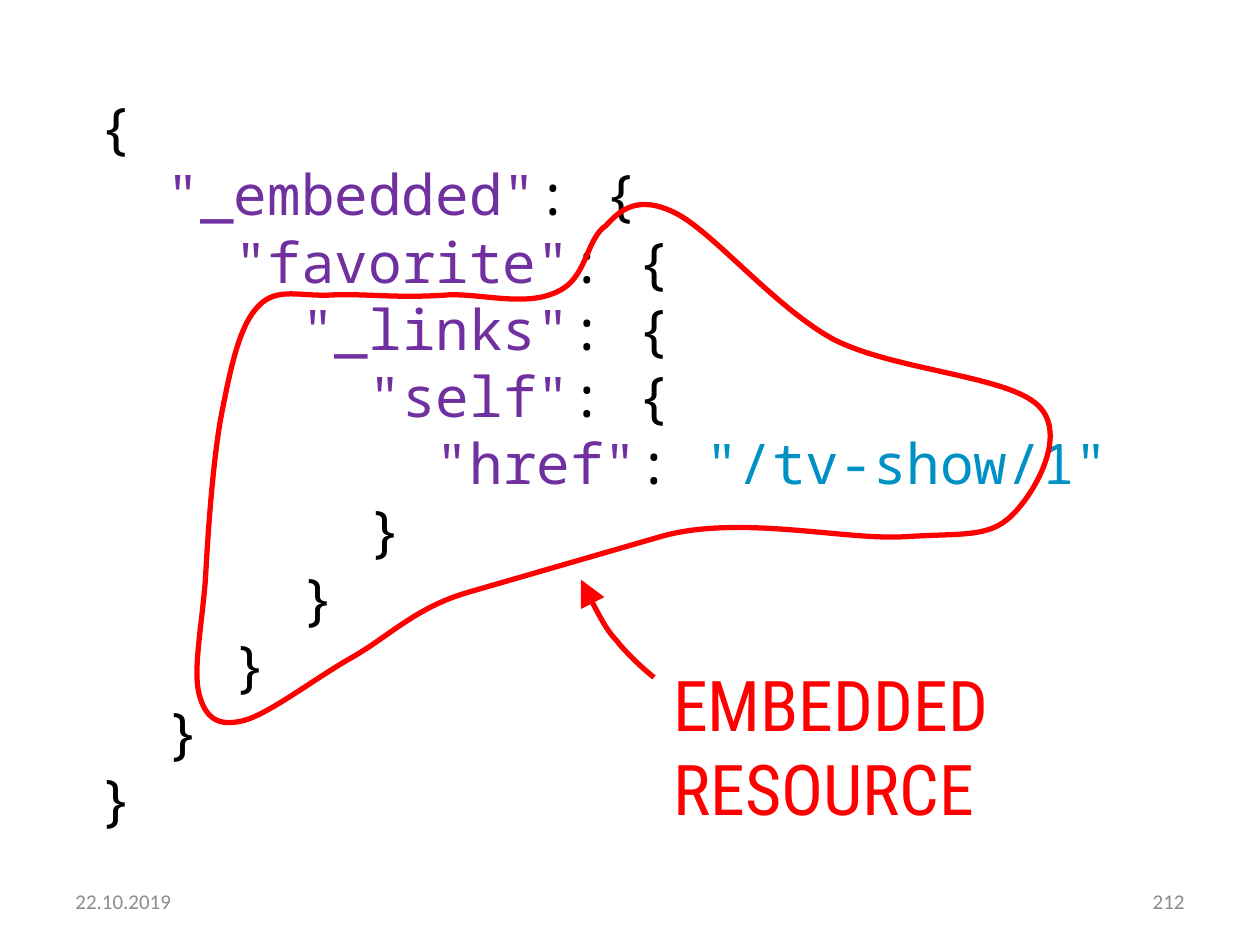
from lxml.etree import SubElement
from pptx import Presentation
from pptx.dml.color import RGBColor as RGB
from pptx.enum.text import MSO_ANCHOR as Anchor, MSO_AUTO_SIZE as AutoSize, PP_ALIGN as Align
from pptx.oxml.ns import qn
from pptx.util import Pt

COLORS = {"plain": "000000", "key": "7030A0", "value": "0091C4",
          "mark": "FF0000", "footer": "8C8C8C"}

CODE = [
    [[("{ ", "plain")],
     [("  ", "plain"), ('"_embedded"', "key"), (": {", "plain")]],
    [[("    ", "plain"), ('"favorite"', "key"), (": {", "plain")],
     [("      ", "plain"), ('"_links"', "key"), (": {", "plain")],
     [("        ", "plain"), ('"self"', "key"), (": {", "plain")]],
    [[("          ", "value"), ('"href"', "key"), (":", "plain"),
      (' "/tv-show/1"', "value")],
     [("        ", "value"), ("}", "plain")]],
    [[("      }", "plain")]],
    [[("    }", "plain")],
     [("  }", "plain")]],
    [[("}", "plain")]],
]
LABEL = "EMBEDDED RESOURCE"
FOOTERS = [("22.10.2019", 36, Align.LEFT), ("212", 516, Align.RIGHT)]

ARROW_BOX = (331.9, 331.2, 41.8, 55.9)
ARROW = [
    [(373.7, 387.1)],
    [(365.8, 380.9), (356.4, 371.5), (352.1, 365.8)],
    [(347, 360.7), (337.7, 343.4), (331.9, 331.2)],
]
OUTLINE_BOX = (112.5, 116.7, 487.6, 295.8)
OUTLINE = [
    [(346.3, 128.9)],
    [(354.2, 120.2), (364.3, 110.9), (385.9, 121.7)],
    [(407.5, 132.5), (442.1, 175), (475.9, 193.7)],
    [(510.5, 211.7), (576, 214.6), (593.3, 231.8)],
    [(610.6, 248.4), (591.1, 282.2), (578.2, 294.5)],
    [(565.2, 307.4), (550.1, 304.6), (517, 306.7)],
    [(483.1, 308.9), (421.9, 293.8), (377.3, 306.7)],
    [(267.8, 338.4)],
    [(237.6, 347), (222.5, 363.6), (200.9, 375.8)],
    [(179.3, 388.1), (153.4, 408.2), (139, 411.8)],
    [(124.6, 415.4), (117.4, 410.4), (113.8, 396.7)],
    [(110.2, 383), (115.2, 358.6), (117.4, 331.2)],
    [(118.8, 304.6), (121.7, 262.1), (126.7, 236.2)],
    [(131.8, 210.2), (136.8, 185.8), (147.6, 175)],
    [(158.4, 163.4), (172.1, 169.9), (190.8, 168.5)],
    [(208.8, 167.8), (228.2, 170.6), (256.3, 168.5)],
    [(277.9, 167.8), (303.1, 176.4), (321.8, 164.9)],
    [(335.5, 156.2), (335.5, 136.1), (346.3, 128.9)],
]


def add_frame(slide, left, top, width, height, anchor=Anchor.TOP):
    frame = slide.shapes.add_textbox(Pt(left), Pt(top), Pt(width), Pt(height)).text_frame
    frame.word_wrap = True
    frame.vertical_anchor = anchor
    return frame


def add_run(paragraph, text, font, size, color):
    run = paragraph.add_run()
    run.text = text
    run.font.name = font
    run.font.size = Pt(size)
    run.font.color.rgb = RGB.from_string(COLORS[color])


def add_curve(slide, box, segments, close=False):
    left, top, width, height = box
    builder = slide.shapes.build_freeform(Pt(left), Pt(top))
    builder.add_line_segments([(Pt(left + width), Pt(top + height))], close=False)
    curve = builder.convert_to_shape()
    outline = next(curve.element.iter(qn("a:path")))
    for corner in list(outline):
        outline.remove(corner)
    for i, points in enumerate(segments):
        tag = "a:moveTo" if i == 0 else "a:lnTo" if len(points) == 1 else "a:cubicBezTo"
        segment = SubElement(outline, qn(tag))
        for x, y in points:
            SubElement(segment, qn("a:pt"), x=str(Pt(x - left)), y=str(Pt(y - top)))
    if close:
        SubElement(outline, qn("a:close"))
    curve.shadow.inherit = False
    curve.fill.background()
    curve.line.color.rgb = RGB.from_string(COLORS["mark"])
    curve.line.width = Pt(3)
    return curve


def add_code(slide):
    frame = add_frame(slide, 0, 47.5, 720, 433.4, Anchor.MIDDLE)
    frame.margin_left = Pt(56.9)
    frame.auto_size = AutoSize.SHAPE_TO_FIT_TEXT
    for i, lines in enumerate(CODE):
        paragraph = frame.add_paragraph() if i else frame.paragraphs[0]
        for j, parts in enumerate(lines):
            if j:
                paragraph.add_line_break()
            for text, color in parts:
                add_run(paragraph, text, "Noto Sans Mono", 32, color)


def main():
    deck = Presentation()
    deck.slide_width, deck.slide_height = Pt(720), Pt(540)
    slide = deck.slides.add_slide(deck.slide_layouts[6])

    for text, left, align in FOOTERS:
        footer = add_frame(slide, left, 500.5, 168, 28.75, Anchor.MIDDLE).paragraphs[0]
        footer.alignment = align
        add_run(footer, text, "Calibri", 12, "footer")

    add_code(slide)

    label = add_frame(slide, 377.6, 374.4, 277.2, 55.4)
    label.auto_size = AutoSize.SHAPE_TO_FIT_TEXT
    add_run(label.paragraphs[0], LABEL, "Roboto Condensed", 40, "mark")

    arrow = add_curve(slide, ARROW_BOX, ARROW)
    SubElement(arrow.line._get_or_add_ln(), qn("a:tailEnd"),
               type="triangle", w="lg", len="lg")
    add_curve(slide, OUTLINE_BOX, OUTLINE, close=True)

    deck.save("out.pptx")


if __name__ == "__main__":
    main()
